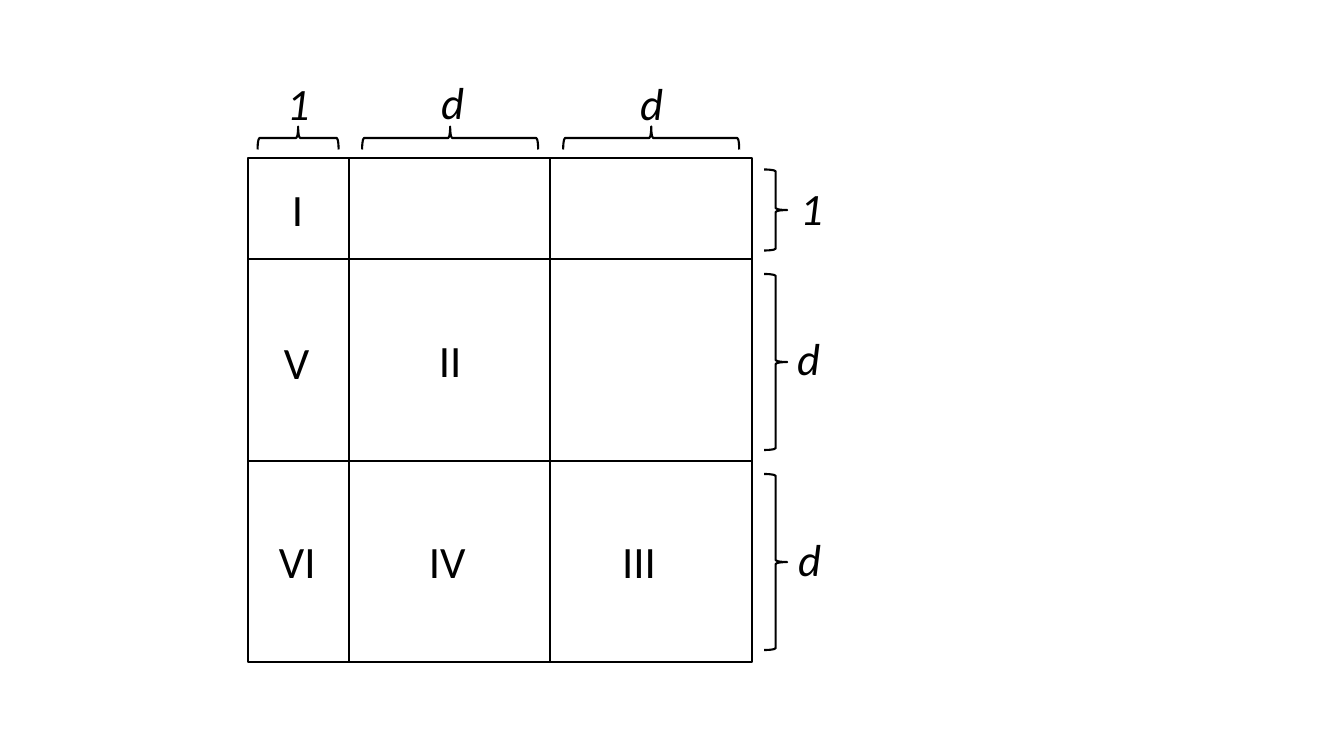
from pptx import Presentation
from pptx.dml.color import RGBColor
from pptx.enum.shapes import MSO_SHAPE
from pptx.enum.text import MSO_AUTO_SIZE
from pptx.util import Inches, Pt

SCALE = 914400 / 100.8
INK = "000000"

deck = Presentation()
deck.slide_width, deck.slide_height = Inches(13.33), Inches(7.5)
slide = deck.slides.add_slide(deck.slide_layouts[6])


def outline(kind, box, weight, turn=0):
    shape = slide.shapes.add_shape(kind, *[round(n * SCALE) for n in box])
    shape.shadow.inherit = False
    shape.fill.background()
    shape.line.color.rgb = RGBColor.from_string(INK)
    shape.line.width = Pt(weight)
    shape.rotation = turn


def label(text, left, top, width, slant=False):
    box = slide.shapes.add_textbox(*[round(n * SCALE) for n in (left, top, width, 64)])
    frame = box.text_frame
    frame.text = text
    frame.word_wrap = slant
    frame.auto_size = MSO_AUTO_SIZE.SHAPE_TO_FIT_TEXT
    font = frame.paragraphs[0].runs[0].font
    font.name, font.size, font.italic = "Calibri", Pt(32), slant
    font.color.rgb = RGBColor.from_string(INK)


# Block matrix: one narrow and two wide bands each way
cols = [248, 349, 550, 752]
rows = [158, 259, 461, 662]
for top, bottom in zip(rows, rows[1:]):
    for left, right in zip(cols, cols[1:]):
        outline(MSO_SHAPE.RECTANGLE, (left, top, right - left, bottom - top), 1)

# Braces above the columns, given by centre and span
DEPTH = 23
for mid, span in [(298, 81), (450, 176), (651, 176)]:
    outline(MSO_SHAPE.LEFT_BRACE,
            (mid - DEPTH / 2, 138 - span / 2, DEPTH, span), 1.5, 90)

# Braces beside the rows
for mid, span in [(210, 81), (362, 176), (562, 176)]:
    outline(MSO_SHAPE.LEFT_BRACE, (764, mid - span / 2, DEPTH, span), 1.5, 180)

# Band sizes
for text, left, top in [("1", 277, 71), ("d", 431, 70), ("d", 630, 71),
                        ("1", 790, 176), ("d", 787, 326), ("d", 788, 527)]:
    label(text, left, top, 38, True)

# Block numerals
for text, left, top, width in [("I", 282, 177, 32), ("II", 429, 328, 43),
                               ("III", 612, 529, 54), ("IV", 419, 529, 57),
                               ("V", 274, 330, 46), ("VI", 269, 529, 57)]:
    label(text, left, top, width)

deck.save("out.pptx")
